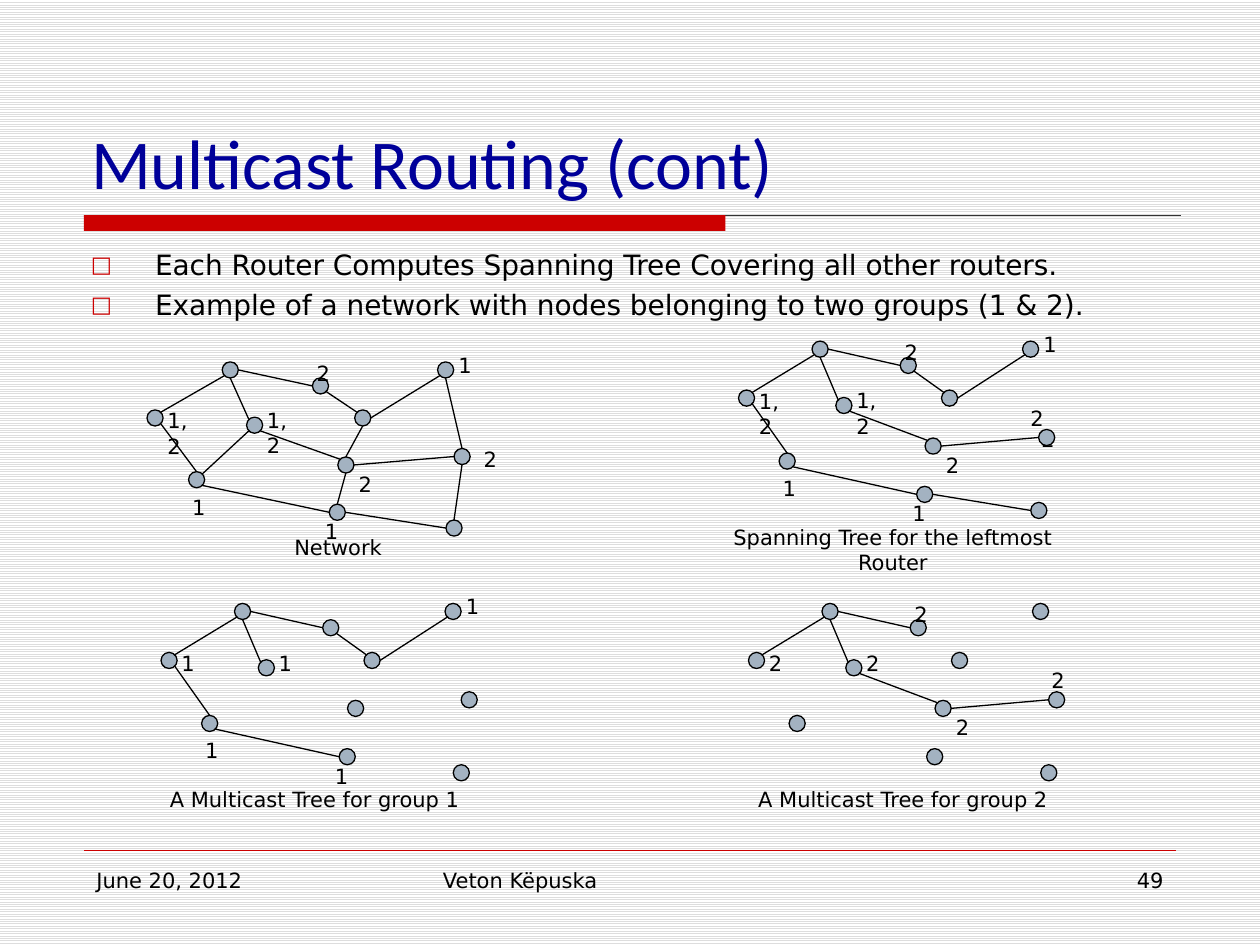
import dataclasses
import math

import lxml.etree
import pptx
import pptx.dml.color
import pptx.enum.dml
import pptx.enum.shapes
import pptx.enum.text
import pptx.oxml.ns
import pptx.util

Pt = pptx.util.Pt
ALIGN = pptx.enum.text.PP_ALIGN
ANCHOR = pptx.enum.text.MSO_ANCHOR


@dataclasses.dataclass(frozen=True)
class Theme:
    title_font: str = "Calibri"
    body_font: str = "DejaVu Sans"
    title_size: float = 40
    body_size: float = 16
    small_size: float = 12
    title: str = "000099"
    text: str = "000000"
    accent: str = "CC0000"
    rule: str = "333333"
    router: str = "A3B2C1"
    stripe: str = "DDDDDD"
    paper: str = "FFFFFF"


THEME = Theme()
DIAMETER = 9.2

# Router positions within a diagram, in points
ROUTERS = {
    "A": (42, 0), "B": (0, 28), "C": (23.2, 64), "D": (55.6, 32.2),
    "E": (92.4, 9.3), "F": (116, 28), "G": (162.3, 0), "H": (106.6, 55.4),
    "I": (171.5, 50.5), "J": (101.8, 83), "K": (167, 92.2),
}
# Compass angles at which each link leaves one router and meets the next
LINKS = {
    "BA": (45, 225), "AE": (90, 270), "CD": (45, 225), "BC": (135, 0),
    "AD": (180, 315), "DH": (135, 315), "CJ": (135, 270), "JK": (90, 270),
    "HI": (90, 270), "FG": (90, 225), "EF": (135, 315), "HJ": (180, 0),
    "FH": (180, 0), "GI": (180, 0), "IK": (180, 0),
}
# Group label boxes: offset from the router, then width
LABELS = {
    "B": (4.6, -4.6, 28.2), "C": (-5, 9.3, 18.7), "D": (4.6, -9, 28.2),
    "E": (-4.6, -13.7, 18.7), "G": (4.8, -9, 18.7), "H": (4.8, 4.6, 18.7),
    "I": (9.8, -4.6, 18.7), "J": (-9.5, 4.7, 18.7),
}


@dataclasses.dataclass(frozen=True)
class Diagram:
    origin: tuple
    links: list
    labels: dict
    caption: tuple  # text, left, top, width, height
    scale: tuple = (1, 1)
    moved_labels: dict = dataclasses.field(default_factory=dict)


DIAGRAMS = [
    Diagram((84, 206.8), list(LINKS),
            {"B": "1,2", "D": "1,2", "C": "1", "J": "1", "G": "1",
             "E": "2", "H": "2", "I": "2"},
            ("Network", 141, 301.7, 104.4, 21.6), scale=(1.023, 0.98)),
    Diagram((92, 344.8), "BA AE BC AD CJ FG EF".split(),
            dict.fromkeys("BDCJG", "1"),
            ("A Multicast Tree for group 1", 77.8, 445.7, 204, 21.6)),
    Diagram((422, 194.9), "BA AE BC AD DH CJ JK HI FG EF".split(),
            {"B": "1,2", "D": "1,2", "C": "1", "J": "1", "G": "1",
             "E": "2", "H": "2", "I": "2"},
            ("Spanning Tree for the leftmost Router", 408.2, 296, 204, 36),
            moved_labels={"I": (-11.8, -17.3, 23.8)}),
    Diagram((427.7, 344.8), "BA AE AD DH HI".split(),
            dict.fromkeys("BDEHI", "2"),
            ("A Multicast Tree for group 2", 414, 445.7, 204, 21.6),
            moved_labels={"I": (-5.5, -17.2, 23.8)}),
]


def rgb(value):
    return pptx.dml.color.RGBColor.from_string(value)


def set_values(target, values):
    for name, value in values.items():
        setattr(target, name, value)


def add_text(shapes, box, lines, size=THEME.small_size, font=THEME.body_font,
             color=THEME.text, align=ALIGN.LEFT, anchor=ANCHOR.TOP):
    """Add a wrapped text box with one paragraph a line; return its paragraphs."""
    frame = shapes.add_textbox(*map(Pt, box)).text_frame
    set_values(frame, {"word_wrap": True, "vertical_anchor": anchor})
    frame.text = "\n".join(lines)
    for paragraph in frame.paragraphs:
        paragraph.alignment = align
        set_values(paragraph.runs[0].font, {"name": font, "size": Pt(size)})
        paragraph.runs[0].font.color.rgb = rgb(color)
    return frame.paragraphs


def add_line(shapes, start, end, color=THEME.text, width=0.75):
    line = shapes.add_connector(pptx.enum.shapes.MSO_CONNECTOR.STRAIGHT,
                                *map(Pt, (*start, *end)))
    line.line.width = Pt(width)
    line.line.color.rgb = rgb(color)
    lxml.etree.SubElement(line._element.spPr, pptx.oxml.ns.qn("a:effectLst"))


def add_filled(shapes, kind, box, fill, outline=None):
    shape = shapes.add_shape(kind, *map(Pt, box))
    shape.shadow.inherit = False
    shape.fill.solid()
    shape.fill.fore_color.rgb = rgb(fill)
    if outline:
        shape.line.width = Pt(0.75)
        shape.line.color.rgb = rgb(outline)
    else:
        shape.line.fill.background()


def add_bullet(paragraph):
    properties = paragraph._p.get_or_add_pPr()
    set_values(paragraph, {"space_before": Pt(3.7)})
    for name, value in {"marL": Pt(36.7), "indent": -Pt(36.7)}.items():
        properties.set(name, str(int(value)))
    qn = pptx.oxml.ns.qn
    color = lxml.etree.SubElement(properties, qn("a:buClr"))
    lxml.etree.SubElement(color, qn("a:srgbClr"), val=THEME.accent)
    lxml.etree.SubElement(properties, qn("a:buSzPct"), val="80000")
    lxml.etree.SubElement(properties, qn("a:buFont"), typeface=THEME.body_font)
    lxml.etree.SubElement(properties, qn("a:buChar"), char="□")


def rim_point(corner, angle):
    """Point on a router's edge at a compass angle (0 is up, clockwise)."""
    radius, turn = DIAMETER / 2, math.radians(angle)
    return (corner[0] + radius * (1 + math.sin(turn)),
            corner[1] + radius * (1 - math.cos(turn)))


def add_diagram(slide, diagram):
    shapes = slide.shapes.add_group_shape().shapes
    corners = {
        name: tuple(start + offset * scale for start, offset, scale
                    in zip(diagram.origin, position, diagram.scale))
        for name, position in ROUTERS.items()
    }
    for corner in corners.values():
        add_filled(shapes, pptx.enum.shapes.MSO_SHAPE.OVAL,
                   (*corner, DIAMETER, DIAMETER), THEME.router, THEME.text)
    for link in diagram.links:
        add_line(shapes, *(rim_point(corners[name], angle)
                           for name, angle in zip(link, LINKS[link])))
    places = {**LABELS, **diagram.moved_labels}
    for name, text in diagram.labels.items():
        (left, top), (dx, dy, width) = corners[name], places[name]
        height = 36 if "," in text else 21.6
        add_text(shapes, (left + dx, top + dy, width, height), [text])
    caption, *box = diagram.caption
    add_text(shapes, box, [caption], align=ALIGN.CENTER)


def add_background(slide):
    fill = slide.background.fill
    fill.patterned()
    fill.pattern = pptx.enum.dml.MSO_PATTERN.LIGHT_HORIZONTAL
    fill.fore_color.rgb = rgb(THEME.stripe)
    fill.back_color.rgb = rgb(THEME.paper)


def add_frame(slide):
    """Add the title rule and the footer."""
    shapes = slide.shapes
    add_line(shapes, (48, 123), (674.8, 123), THEME.rule)
    add_filled(shapes, pptx.enum.shapes.MSO_SHAPE.RECTANGLE,
               (48, 123, 366.5, 9), THEME.accent)
    add_line(shapes, (48, 486), (672, 486), THEME.accent, 0.25)
    for text, left, width, align in (("June 20, 2012", 48, 156, ALIGN.LEFT),
                                     ("Veton Këpuska", 246, 228, ALIGN.LEFT),
                                     ("49", 516, 156, ALIGN.RIGHT)):
        add_text(shapes, (left, 492, width, 37.5), [text], align=align)


def main():
    presentation = pptx.Presentation()
    set_values(presentation, {"slide_width": Pt(720), "slide_height": Pt(540)})
    slide = presentation.slides.add_slide(presentation.slide_layouts[6])
    add_background(slide)
    add_frame(slide)
    add_text(slide.shapes, (45, 24, 630, 96), ["Multicast Routing (cont)"],
             THEME.title_size, THEME.title_font, THEME.title, anchor=ANCHOR.BOTTOM)
    for paragraph in add_text(slide.shapes, (44.8, 138, 630, 336), [
            "Each Router Computes Spanning Tree Covering all other routers.",
            "Example of a network with nodes belonging to two groups (1 & 2).",
    ], THEME.body_size):
        add_bullet(paragraph)
    # A second label sits partly behind the rightmost spanning-tree router
    add_text(slide.shapes, (588, 240, 23.8, 21.6), ["2"])
    for diagram in DIAGRAMS:
        add_diagram(slide, diagram)
    presentation.save("out.pptx")


if __name__ == "__main__":
    main()
